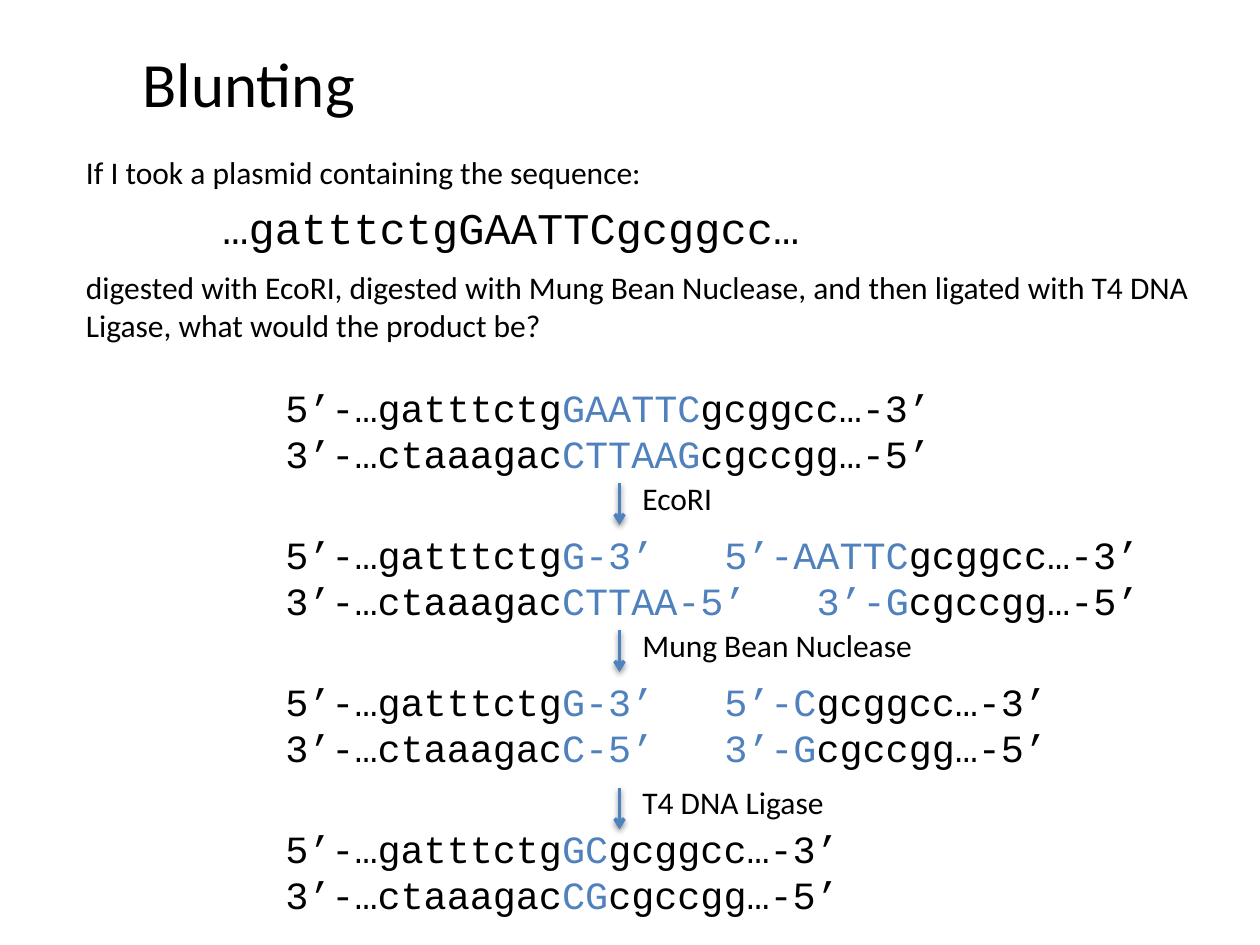
from lxml import etree
from pptx import Presentation
from pptx.dml.color import RGBColor
from pptx.enum.shapes import MSO_CONNECTOR
from pptx.enum.text import MSO_AUTO_SIZE
from pptx.oxml.ns import qn
from pptx.util import Inches, Pt

STRAIGHT = MSO_CONNECTOR.STRAIGHT
NO_AUTOFIT = MSO_AUTO_SIZE.NONE
COLORS = {"ink": "000000", "site": "4F81BD"}
BODY_FONT = "Calibri"
CODE_FONT = "Courier New"
CODE_SIZE = 22
CELLS_PER_INCH = 12
STEP_LEFT, STEP_TOP, STEP_PITCH = 26, 36, 14
ARROW_COLUMN, ARROW_LENGTH = 59, 4
GAP_CHARACTERS = 3

STEPS = [
    (64.7, ["GAATTC"], ["CTTAAG"]),
    (84.6, ["G-3’", "5’-AATTC"], ["CTTAA-5’", "3’-G"]),
    (75.7, ["G-3’", "5’-C"], ["C-5’", "3’-G"]),
    (55.8, ["GC"], ["CG"]),
]
STRANDS = [("5’-…gatttctg", "gcggcc…-3’"), ("3’-…ctaaagac", "cgccgg…-5’")]
ENZYMES = [("EcoRI", 46, 9.2), ("Mung Bean Nuclease", 60, 28.3), ("T4 DNA Ligase", 75, 19.9)]


def cells(count):
    """Convert grid cells to a length."""
    return Inches(count / CELLS_PER_INCH)


def add_box(page, left, top, width, height, wrap=False):
    """Add an empty text box and return its text frame."""
    box = page.shapes.add_textbox(cells(left), cells(top), cells(width), cells(height))
    frame = box.text_frame
    frame.word_wrap = wrap
    frame.auto_size = NO_AUTOFIT
    return frame


def add_span(para, text, size, font=BODY_FONT, color="ink"):
    """Append one formatted run."""
    span = para.add_run()
    span.text = text
    span.font.size = Pt(size)
    span.font.name = font
    span.font.color.rgb = RGBColor.from_string(COLORS[color])


def add_line_of_text(page, text, place, size, font=BODY_FONT):
    """Add a box that holds a single line."""
    add_span(add_box(page, *place).paragraphs[0], text, size, font)


def add_question(page):
    """Add the question, leaving room for the sequence between its parts."""
    frame = add_box(page, 7, 14, 110, 19.4, wrap=True)
    add_span(frame.paragraphs[0], "If I took a plasmid containing the sequence:", 18)
    para = frame.add_paragraph()
    para.space_before = Pt(44)
    add_span(para, "digested with EcoRI, digested with Mung Bean Nuclease, "
                   "and then ligated with T4 DNA Ligase, what would the product be?", 18)


def set_tab(para, characters):
    """Put a left tab stop after a number of monospaced characters."""
    stops = etree.SubElement(para._p.get_or_add_pPr(), qn("a:tabLst"))
    position = Pt(characters * CODE_SIZE * 0.6)
    etree.SubElement(stops, qn("a:tab"), pos=str(position), algn="l")


def add_strand(para, strand, fragments):
    """Write one strand with its coloured restriction site."""
    start, end = strand
    if len(fragments) > 1:
        set_tab(para, len(start) + len(fragments[0]) + GAP_CHARACTERS)
    add_span(para, start, CODE_SIZE, CODE_FONT)
    add_span(para, "\t".join(fragments), CODE_SIZE, CODE_FONT, "site")
    add_span(para, end, CODE_SIZE, CODE_FONT)


def add_step(page, index, width, top_site, bottom_site):
    """Add the two strands of one reaction step."""
    frame = add_box(page, STEP_LEFT, STEP_TOP + index * STEP_PITCH, width, 14.5, wrap=True)
    add_strand(frame.paragraphs[0], STRANDS[0], top_site)
    add_strand(frame.add_paragraph(), STRANDS[1], bottom_site)


def add_arrow(page, row):
    """Add a downward arrow with a soft shadow."""
    arrow = page.shapes.add_connector(
        STRAIGHT, cells(ARROW_COLUMN), cells(row), cells(ARROW_COLUMN), cells(row + ARROW_LENGTH))
    arrow.line.color.rgb = RGBColor.from_string(COLORS["site"])
    arrow.line.width = Pt(2)
    etree.SubElement(arrow.line._get_or_add_ln(), qn("a:tailEnd"), type="arrow")
    effects = etree.SubElement(arrow._element.spPr, qn("a:effectLst"))
    shadow = etree.SubElement(effects, qn("a:outerShdw"), blurRad=str(Pt(3.1)),
                              dist=str(Pt(1.6)), dir="5400000", rotWithShape="0")
    shade = etree.SubElement(shadow, qn("a:srgbClr"), val=COLORS["ink"])
    etree.SubElement(shade, qn("a:alpha"), val="38000")


def main():
    """Build the slide and save it."""
    deck = Presentation()
    deck.slide_width, deck.slide_height = Inches(10), Inches(7.5)
    page = deck.slides.add_slide(deck.slide_layouts[6])
    add_line_of_text(page, "Blunting", (12.4, 3.6, 22.9, 8.5), 36)
    add_question(page)
    add_line_of_text(page, "…gatttctgGAATTCgcggcc…", (20, 18.5, 58, 6.2), 25, CODE_FONT)
    for index, step in enumerate(STEPS):
        add_step(page, index, *step)
    for enzyme, row, width in ENZYMES:
        add_arrow(page, row)
        add_line_of_text(page, enzyme, (ARROW_COLUMN + 1, row - 1, width, 4.8), 18)
    deck.save("out.pptx")


if __name__ == "__main__":
    main()
